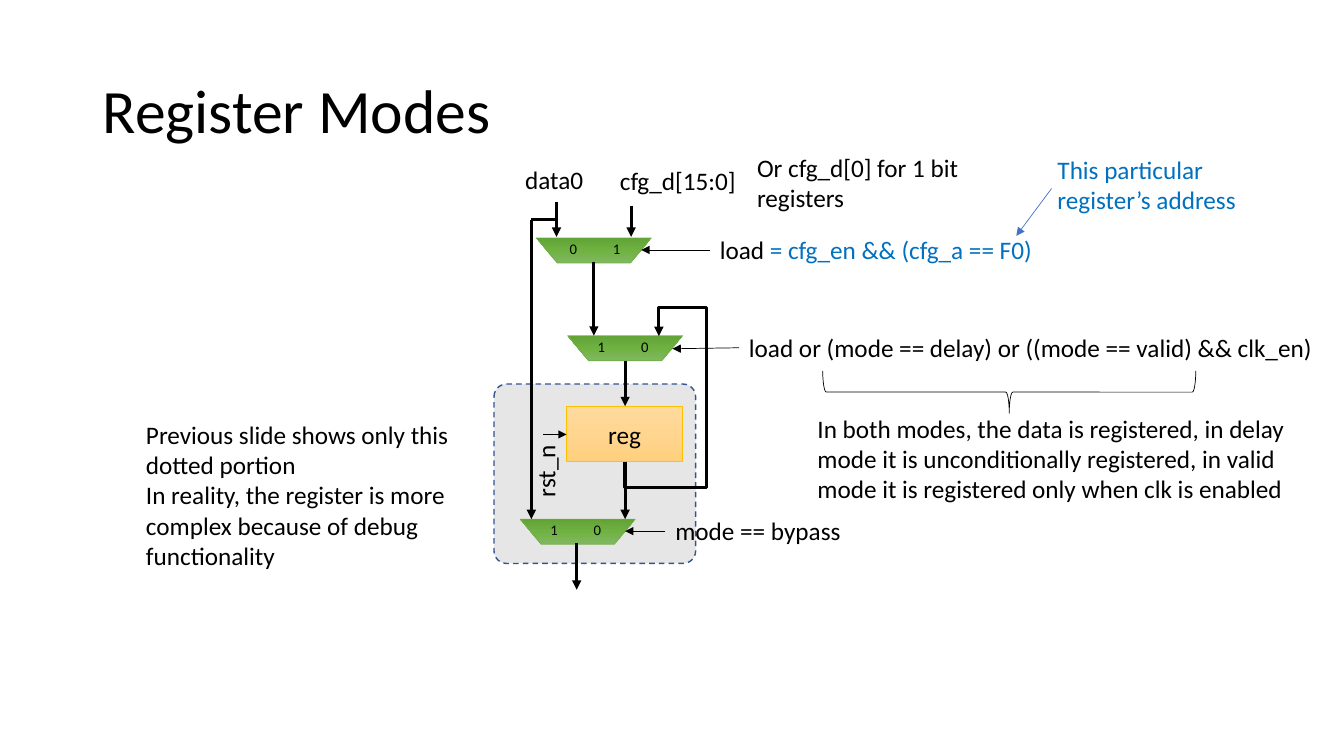
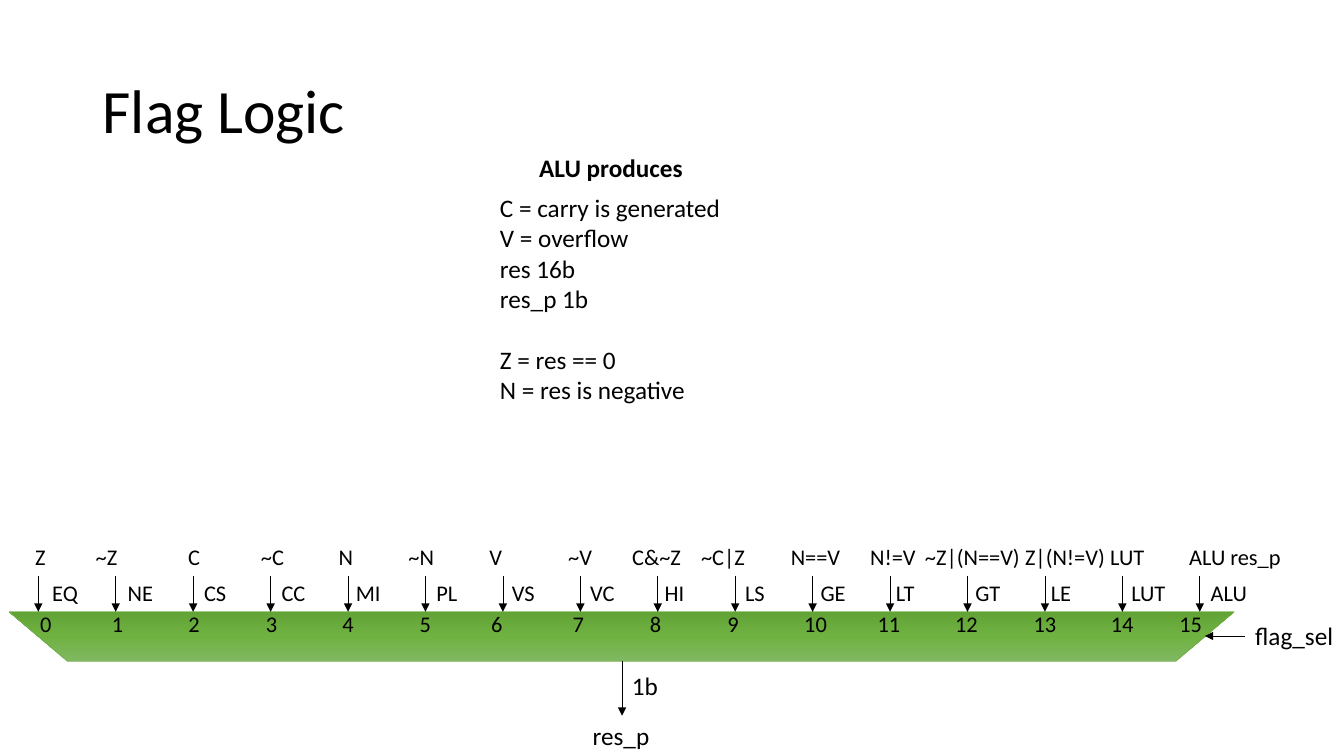
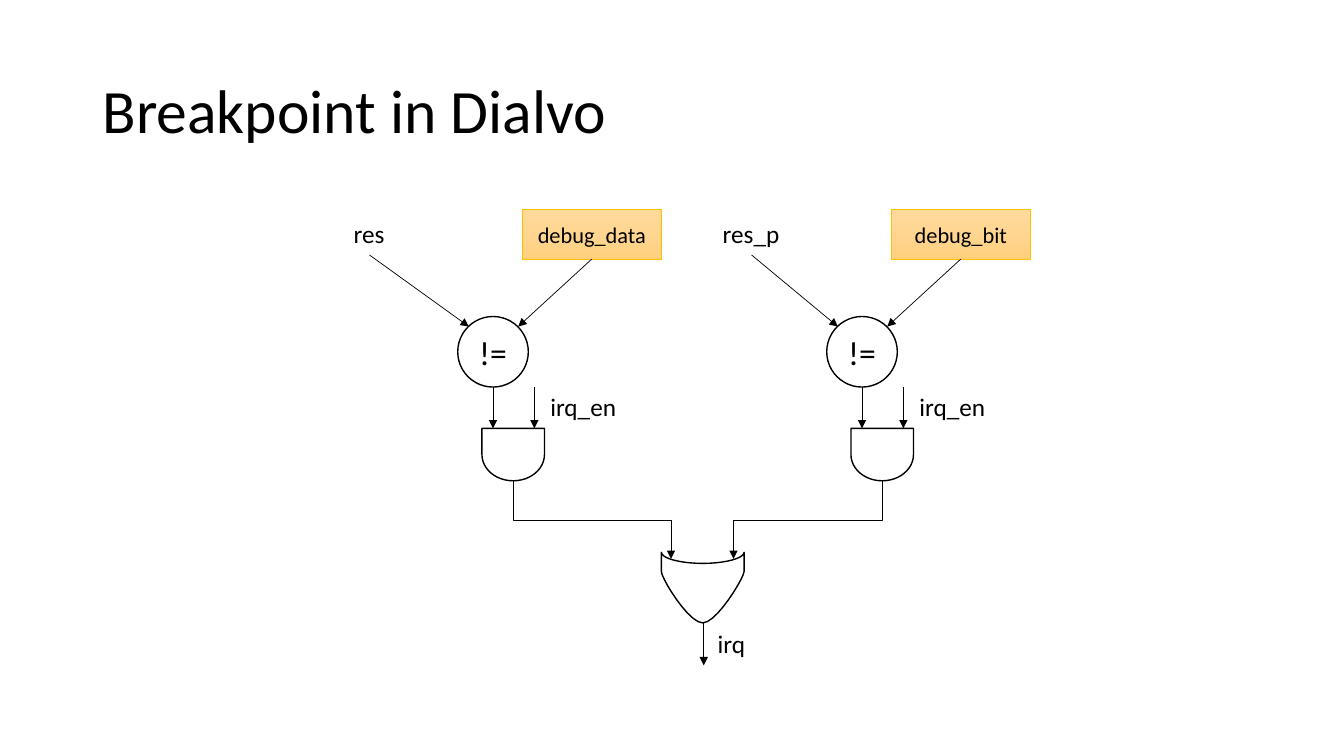
"""Build three slides on register modes, flag logic and breakpoints."""
from copy import deepcopy
from dataclasses import dataclass

from lxml import etree
from pptx import Presentation
from pptx.dml.color import RGBColor
from pptx.enum import dml, shapes, text
from pptx.oxml.ns import qn
from pptx.util import Inches, Pt

BLACK = RGBColor(0x00, 0x00, 0x00)
WHITE = RGBColor(0xFF, 0xFF, 0xFF)
NOTE_BLUE = RGBColor(0x00, 0x70, 0xC0)
ARROW_BLUE = RGBColor(0x44, 0x72, 0xC4)
PANEL_GREY = RGBColor(0xE7, 0xE6, 0xE6)
PANEL_EDGE = RGBColor(0x32, 0x54, 0x91)
GREEN_EDGE = RGBColor(0x70, 0xAD, 0x47)
GREENS = (RGBColor(0x81, 0xB8, 0x61), RGBColor(0x6F, 0xB2, 0x42), RGBColor(0x62, 0xA3, 0x36))
GOLD_EDGE = RGBColor(0xFF, 0xC0, 0x00)
GOLDS = (RGBColor(0xFF, 0xDB, 0x9E), RGBColor(0xFF, 0xD5, 0x90), RGBColor(0xFF, 0xD0, 0x7C))

FONT = "Calibri"
INSET = 0.1
THIN, MEDIUM, THICK = 0.5, 1, 2.25
KIND = shapes.MSO_SHAPE
CENTER = text.PP_ALIGN.CENTER


@dataclass(frozen=True)
class Box:
    left: float
    top: float
    width: float
    height: float

    def lengths(self) -> tuple:
        return tuple(Inches(v) for v in (self.left, self.top, self.width, self.height))


@dataclass(frozen=True)
class Label:
    """Text as paragraphs of (words, colour) runs."""
    box: Box
    paragraphs: tuple
    size: float = 18
    wrap: bool = False
    bold: bool = False
    turn: float = 0


@dataclass(frozen=True)
class Wire:
    start: tuple
    end: tuple
    weight: float = THIN
    color: RGBColor = BLACK
    arrow: bool = True


@dataclass(frozen=True)
class Elbow:
    """A bent wire: unrotated box, turn in degrees, flips and bend positions."""
    box: Box
    turn: int
    flip_h: bool = False
    flip_v: bool = False
    bends: tuple = (0.5,)
    weight: float = THIN


@dataclass(frozen=True)
class Mux:
    left: float
    top: float
    inputs: tuple
    first_input: float


@dataclass(frozen=True)
class FlagInput:
    """One selector input, with small shifts from its arrow."""
    condition: str
    mnemonic: str
    condition_shift: float = 0
    mnemonic_shift: float = 0
    number_shift: float = 0


@dataclass(frozen=True)
class Comparator:
    left: float
    signal: str
    signal_width: float
    debug: str


def plain(*lines: str, color: RGBColor = BLACK) -> tuple:
    return tuple(((line, color),) for line in lines)


def write_runs(paragraph, runs: tuple, size: float, bold: bool = False) -> None:
    for words, color in runs:
        run = paragraph.add_run()
        run.text = words
        run.font.name, run.font.size, run.font.bold = FONT, Pt(size), bold
        run.font.color.rgb = color


def add_label(slide, label: Label):
    holder = slide.shapes.add_textbox(*label.box.lengths())
    holder.rotation = label.turn
    frame = holder.text_frame
    frame.word_wrap = label.wrap
    for index, runs in enumerate(label.paragraphs):
        paragraph = frame.add_paragraph() if index else frame.paragraphs[0]
        write_runs(paragraph, runs, label.size, label.bold)
    return frame


def add_tabbed_row(slide, box: Box, words: list, stops: list, size: float, align: str) -> None:
    """Write words on one line; all but the first sit at tab stops given as slide positions."""
    frame = add_label(slide, Label(box, plain("\t".join(words)), size, True))
    frame.margin_right = 0
    properties = frame.paragraphs[0]._p.get_or_add_pPr()
    tabs = etree.SubElement(properties, qn("a:tabLst"))
    for stop in stops:
        position = Inches(stop - box.left - INSET)
        etree.SubElement(tabs, qn("a:tab"), pos=str(int(position)), algn=align)


def add_title(slide, words: str) -> None:
    frame = add_label(slide, Label(Box(0.92, 0.4, 11.5, 1.45), plain(words), 44, True))
    frame.vertical_anchor = text.MSO_ANCHOR.MIDDLE
    frame.paragraphs[0].line_spacing = 0.9


def fill_gradient(shape, colors: tuple) -> None:
    shape.fill.gradient()
    shape.fill.gradient_angle = 270
    stops = shape.element.spPr.find(qn("a:gradFill")).find(qn("a:gsLst"))
    middle = deepcopy(stops[0])
    middle.set("pos", "50000")
    stops.insert(1, middle)
    for stop, color in zip(shape.fill.gradient_stops, colors):
        stop.color.rgb = color


def style_outline(shape, fill: RGBColor | tuple | None, edge: RGBColor, weight: float) -> None:
    shape.shadow.inherit = False
    if fill is None:
        shape.fill.background()
    elif isinstance(fill, RGBColor):
        shape.fill.solid()
        shape.fill.fore_color.rgb = fill
    else:
        fill_gradient(shape, fill)
    shape.line.color.rgb = edge
    shape.line.width = Pt(weight)


def add_block(slide, kind: KIND, box: Box, fill: RGBColor | tuple | None, edge: RGBColor,
              weight: float, words: str = "", size: float = 18):
    block = slide.shapes.add_shape(kind, *box.lengths())
    style_outline(block, fill, edge, weight)
    if words:
        frame = block.text_frame
        frame.word_wrap = False
        frame.vertical_anchor = text.MSO_ANCHOR.MIDDLE
        frame.paragraphs[0].alignment = CENTER
        write_runs(frame.paragraphs[0], ((words, BLACK),), size)
    return block


def add_register(slide, box: Box, words: str, size: float) -> None:
    add_block(slide, KIND.RECTANGLE, box, GOLDS, GOLD_EDGE, THIN, words, size)


def add_trapezoid(slide, box: Box, slant: float) -> None:
    body = add_block(slide, KIND.TRAPEZOID, box, GREENS, GREEN_EDGE, THIN)
    body.rotation = 180
    body.adjustments[0] = slant


def style_wire(connector, color: RGBColor, weight: float, arrow: bool) -> None:
    connector.line.color.rgb = color
    connector.line.width = Pt(weight)
    properties = connector.element.spPr
    if arrow:
        etree.SubElement(properties.find(qn("a:ln")), qn("a:tailEnd"), type="triangle")
    etree.SubElement(properties, qn("a:effectLst"))


def add_wire(slide, wire: Wire) -> None:
    points = [Inches(v) for v in (*wire.start, *wire.end)]
    connector = slide.shapes.add_connector(shapes.MSO_CONNECTOR.STRAIGHT, *points)
    style_wire(connector, wire.color, wire.weight, wire.arrow)


def add_elbow(slide, elbow: Elbow) -> None:
    box = elbow.box
    xs = [box.left, box.left + box.width][::-1 if elbow.flip_h else 1]
    ys = [box.top, box.top + box.height][::-1 if elbow.flip_v else 1]
    points = [Inches(v) for v in (xs[0], ys[0], xs[1], ys[1])]
    connector = slide.shapes.add_connector(shapes.MSO_CONNECTOR.ELBOW, *points)
    properties = connector.element.spPr
    properties.find(qn("a:xfrm")).set("rot", str(elbow.turn * 60000))
    geometry = properties.find(qn("a:prstGeom"))
    geometry.set("prst", f"bentConnector{len(elbow.bends) + 2}")
    guides = geometry.find(qn("a:avLst"))
    for number, bend in enumerate(elbow.bends, 1):
        etree.SubElement(guides, qn("a:gd"), name=f"adj{number}", fmla=f"val {round(bend * 100000)}")
    style_wire(connector, BLACK, elbow.weight, True)


def add_mux(slide, mux: Mux) -> None:
    add_trapezoid(slide, Box(mux.left, mux.top, 1.14, 0.25), 0.83)
    first_digit = mux.left + mux.first_input
    digits = Box(first_digit - INSET, mux.top - 0.03, 0.72, 0.28)
    add_tabbed_row(slide, digits, mux.inputs, [first_digit + 0.43], 10.5, "l")


def curve(start: tuple, c1: tuple, c2: tuple, end: tuple, steps: int = 10) -> list[tuple]:
    """Sample a cubic curve, leaving out its start."""
    points = []
    for step in range(1, steps + 1):
        t = step / steps
        weights = ((1 - t) ** 3, 3 * t * (1 - t) ** 2, 3 * t * t * (1 - t), t ** 3)
        points.append(tuple(sum(w * p[axis] for w, p in zip(weights, (start, c1, c2, end)))
                            for axis in (0, 1)))
    return points


def add_or_gate(slide, center: float) -> None:
    left, right = center - 0.41, center + 0.41
    outline = [(left, 5.48)]
    outline += curve((left, 5.48), (left, 5.54), (center - 0.22, 5.59), (center, 5.59))
    outline += curve((center, 5.59), (center + 0.22, 5.59), (right, 5.54), (right, 5.48))
    outline.append((right, 5.67))
    outline += curve((right, 5.67), (right, 5.73), (center + 0.14, 6.18), (center, 6.18))
    outline += curve((center, 6.18), (center - 0.14, 6.18), (left, 5.74), (left, 5.67))
    points = [(Inches(x), Inches(y)) for x, y in outline]
    builder = slide.shapes.build_freeform(*points[0])
    builder.add_line_segments(points[1:], close=True)
    style_outline(builder.convert_to_shape(), None, BLACK, MEDIUM)


def build_register_modes(slide) -> None:
    add_title(slide, "Register Modes")
    debug_portion = add_block(slide, KIND.ROUNDED_RECTANGLE, Box(4.9, 3.81, 2, 1.78),
                              PANEL_GREY, PANEL_EDGE, MEDIUM)
    debug_portion.adjustments[0] = 0.07
    debug_portion.line.dash_style = dml.MSO_LINE.DASH
    mode_brace = add_block(slide, KIND.RIGHT_BRACE, Box(9.8, 2.04, 0.42, 3.7), None, BLACK, THIN)
    mode_brace.rotation = 90
    add_register(slide, Box(5.62, 4.03, 1.15, 0.55), "reg", 18)
    for mux in (Mux(5.16, 5.15, ("1", "0"), 0.3), Mux(5.32, 2.36, ("0", "1"), 0.33),
                Mux(5.63, 3.33, ("1", "0"), 0.3)):
        add_mux(slide, mux)

    data_wires = (
        ((6.2, 3.58), (6.2, 4.03)), ((5.52, 2), (5.52, 2.35)), ((6.26, 2.04), (6.26, 2.35)),
        ((5.89, 2.6), (5.89, 3.33)), ((6.2, 4.58), (6.2, 5.15)), ((5.27, 2.18), (5.27, 5.15)),
        ((5.72, 5.39), (5.72, 5.85)),
    )
    control_wires = (
        ((7.04, 2.48), (6.36, 2.48)), ((5.39, 4.31), (5.62, 4.31)),
        ((7.33, 3.45), (6.67, 3.46)), ((6.6, 5.27), (6.2, 5.27)),
    )
    for start, end in data_wires:
        add_wire(slide, Wire(start, end, THICK))
    for start, end in control_wires:
        add_wire(slide, Wire(start, end))
    add_wire(slide, Wire((5.27, 2.18), (5.52, 2.18), THICK, arrow=False))
    add_wire(slide, Wire((10.43, 1.87), (10.08, 2.34), color=ARROW_BLUE))
    add_elbow(slide, Elbow(Box(5.74, 3.79, 1.25, 0.34), 90, True, True, (-0.2, 2.39, 1.23), THICK))

    load_runs = ((("load ", BLACK), ("= cfg_en && (cfg_a == F0)", NOTE_BLUE)),)
    for label in (
        Label(Box(1.35, 4.11, 3.67, 1.62), plain(
            "Previous slide shows only this dotted portion",
            "In reality, the register is more complex because of debug functionality"), wrap=True),
        Label(Box(8.01, 4.05, 4.96, 1.01), plain(
            "In both modes, the data is registered, in delay mode it is unconditionally "
            "registered, in valid mode it is registered only when clk is enabled"), wrap=True),
        Label(Box(5.11, 1.58, 0.78, 0.4), plain("data0")),
        Label(Box(6.05, 1.59, 1.36, 0.4), plain("cfg_d[15:0]")),
        Label(Box(7.04, 2.28, 3.39, 0.4), load_runs),
        Label(Box(5.05, 4.47, 0.72, 0.4), plain("rst_n"), turn=270),
        Label(Box(7.33, 3.25, 5.92, 0.4),
              plain("load or (mode == delay) or ((mode == valid) && clk_en)")),
        Label(Box(6.6, 5.06, 5.04, 0.4), plain("mode == bypass"), wrap=True),
        Label(Box(10.39, 1.48, 2.1, 0.71),
              plain("This particular register’s address", color=NOTE_BLUE), wrap=True),
        Label(Box(7.41, 1.46, 2.25, 0.71), plain("Or cfg_d[0] for 1 bit registers"), wrap=True),
    ):
        add_label(slide, label)


FLAG_INPUTS = (
    FlagInput("Z", "EQ"), FlagInput("~Z", "NE", -0.09, 0.02, 0.02),
    FlagInput("C", "CS", 0.01, 0.01, 0.01), FlagInput("~C", "CC", 0.02, 0.01, 0.01),
    FlagInput("N", "MI", -0.02, -0.02), FlagInput("~N", "PL", -0.04, 0.01),
    FlagInput("V", "VS", -0.07, -0.01, -0.06), FlagInput("~V", "VC", 0, 0, -0.02),
    FlagInput("C&~Z", "HI", -0.01, -0.03, -0.02), FlagInput("~C|Z", "LS", -0.12, 0, -0.02),
    FlagInput("N==V", "GE", 0.03, -0.02, 0.03), FlagInput("N!=V", "LT", 0.03, -0.04, -0.01),
    FlagInput("~Z|(N==V)", "GT", 0.05, -0.02, -0.01), FlagInput("Z|(N!=V)", "LE", 0.2, -0.04),
    FlagInput("LUT", "LUT", 0.05, -0.01), FlagInput("ALU res_p", "ALU", 0.35, 0.01, -0.09),
)


def build_flag_logic(slide) -> None:
    add_title(slide, "Flag Logic")
    add_trapezoid(slide, Box(0.09, 6.07, 12.15, 0.49), 1.18)
    first_x, last_x = 0.38, 11.9
    pitch = (last_x - first_x) / (len(FLAG_INPUTS) - 1)
    arrows = [first_x + pitch * number for number in range(len(FLAG_INPUTS))]
    for x in arrows:
        add_wire(slide, Wire((x, 5.71), (x, 6.07)))
    later_inputs = list(zip(arrows, FLAG_INPUTS))[1:]
    add_tabbed_row(slide, Box(0.3, 6, 12.01, 0.37),
                   [str(number) for number in range(len(FLAG_INPUTS))],
                   [x + flag.number_shift for x, flag in later_inputs], 16, "ctr")
    add_tabbed_row(slide, Box(0.42, 5.7, 12.24, 0.37), [flag.mnemonic for flag in FLAG_INPUTS],
                   [x + INSET + flag.mnemonic_shift for x, flag in later_inputs], 16, "l")
    add_tabbed_row(slide, Box(0.25, 5.34, 12.86, 0.37), [flag.condition for flag in FLAG_INPUTS],
                   [x + flag.condition_shift for x, flag in later_inputs], 16, "ctr")
    add_wire(slide, Wire((12.35, 6.31), (11.95, 6.31)))
    add_wire(slide, Wire((6.17, 6.56), (6.17, 7.1)))
    for label in (
        Label(Box(12.35, 6.11, 0.99, 0.4), plain("flag_sel")),
        Label(Box(5.78, 7.1, 0.77, 0.4), plain("res_p")),
        Label(Box(6.17, 6.6, 0.46, 0.4), plain("1b")),
        Label(Box(5.25, 1.46, 1.64, 0.4), plain("ALU produces"), bold=True),
    ):
        add_label(slide, label)
    outputs = add_label(slide, Label(Box(4.86, 1.86, 2.41, 2.52), plain(
        "C = carry is generated", "V = overflow", "res 16b", "res_p 1b",
        "Z = res == 0", "N = res is negative")))
    outputs.paragraphs[4].space_before = Pt(21.8)


def add_comparator(slide, branch: Comparator) -> None:
    x = branch.left
    signal_left = x - 1.13
    add_register(slide, Box(x + 0.64, 2.08, 1.38, 0.49), branch.debug, 16)
    add_block(slide, KIND.OVAL, Box(x, 3.14, 0.7, 0.7), WHITE, BLACK, MEDIUM, "!=", 24)
    and_gate = add_block(slide, KIND.FLOWCHART_DELAY, Box(x + 0.29, 4.2, 0.52, 0.62),
                         WHITE, BLACK, MEDIUM)
    and_gate.rotation = 90
    for start, end in (
        ((x + 1.33, 2.57), (x + 0.6, 3.24)),
        ((signal_left + branch.signal_width / 2, 2.53), (x + 0.11, 3.24)),
        ((x + 0.35, 3.84), (x + 0.35, 4.25)),
        ((x + 0.76, 3.84), (x + 0.76, 4.25)),
    ):
        add_wire(slide, Wire(start, end))
    add_label(slide, Label(Box(signal_left, 2.12, branch.signal_width, 0.4), plain(branch.signal)))
    add_label(slide, Label(Box(x + 0.82, 3.83, 0.86, 0.4), plain("irq_en")))


def build_breakpoint(slide) -> None:
    add_elbow(slide, Elbow(Box(7.63, 4.42, 0.77, 1.48), 90))
    add_elbow(slide, Elbow(Box(5.49, 4.38, 0.77, 1.56), 270, True))
    add_title(slide, "Breakpoint in Dialvo")
    for branch in (Comparator(4.54, "res", 0.51, "debug_data"),
                   Comparator(8.2, "res_p", 0.77, "debug_bit")):
        add_comparator(slide, branch)
    add_or_gate(slide, 6.97)
    add_wire(slide, Wire((6.98, 6.18), (6.98, 6.6)))
    add_label(slide, Label(Box(7.02, 6.18, 0.48, 0.4), plain("irq")))


def main() -> None:
    deck = Presentation()
    deck.slide_width, deck.slide_height = Inches(13.33), Inches(7.5)
    for build in (build_register_modes, build_flag_logic, build_breakpoint):
        build(deck.slides.add_slide(deck.slide_layouts[6]))
    deck.save("out.pptx")


if __name__ == "__main__":
    main()
